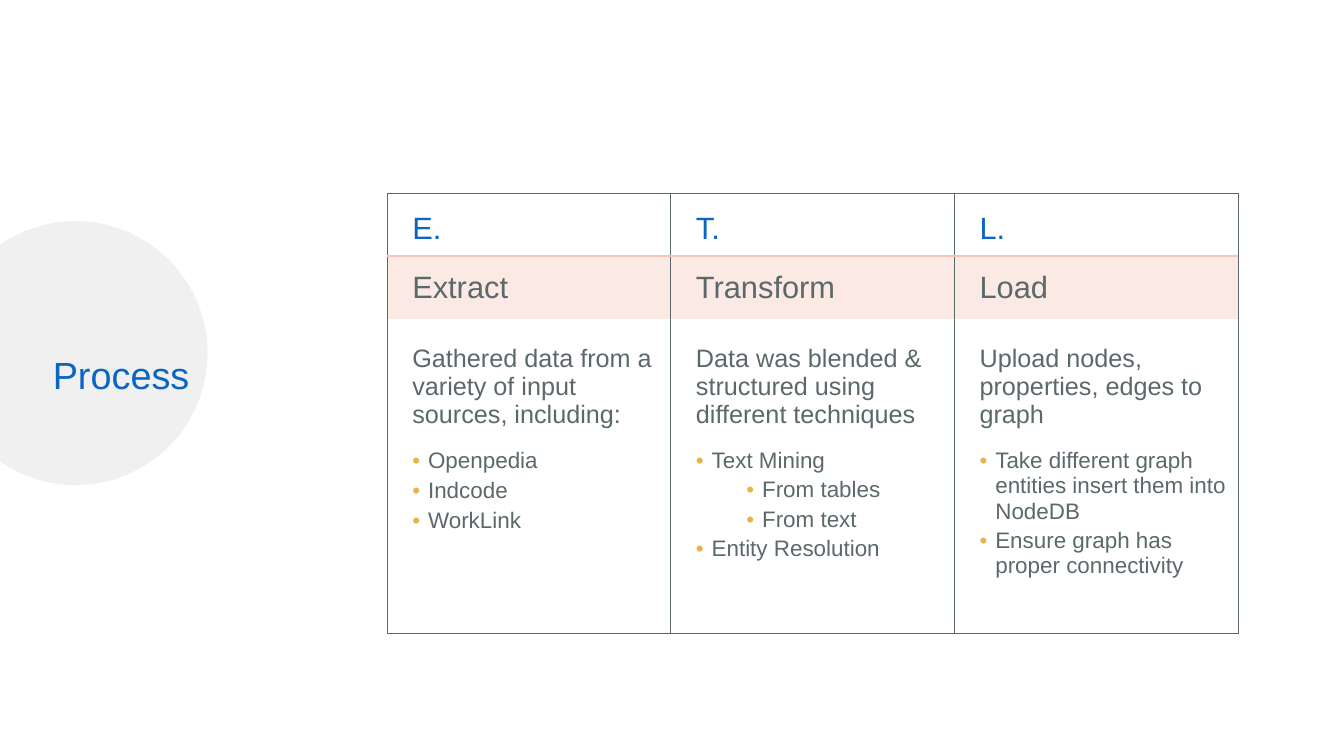
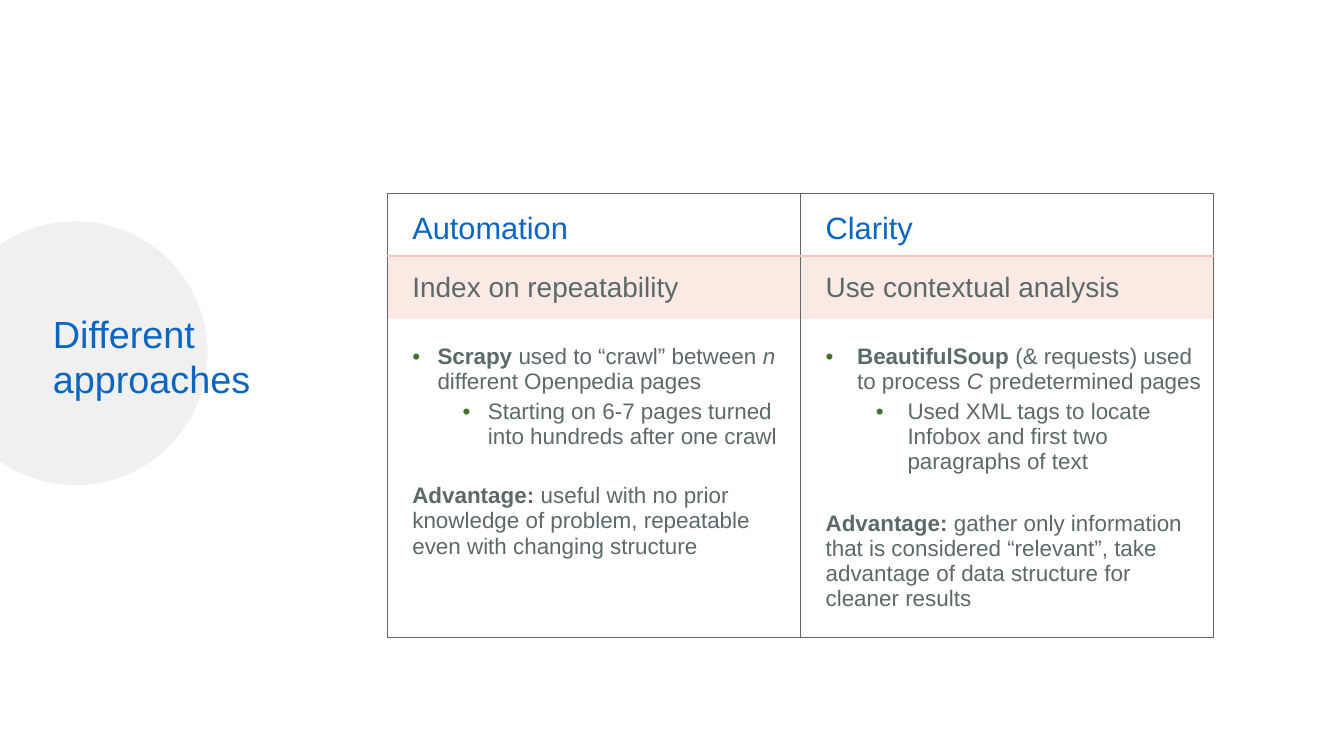
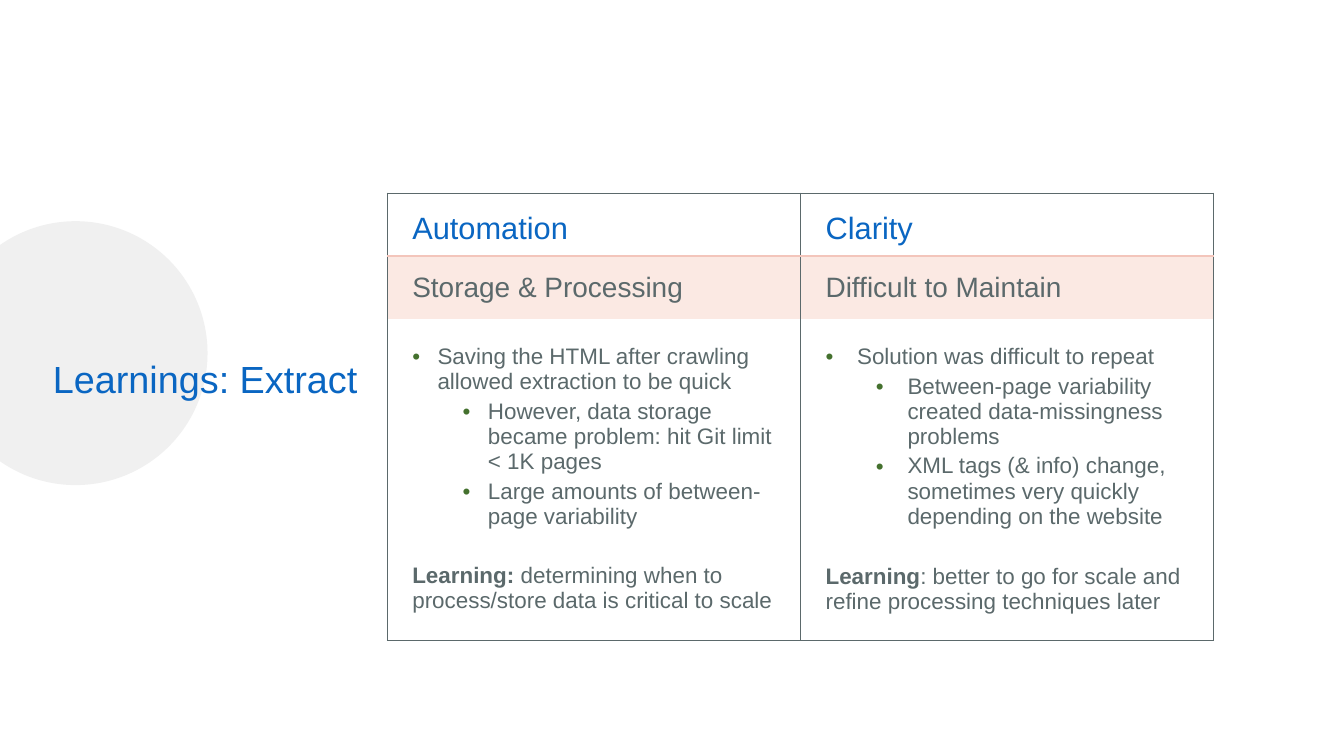
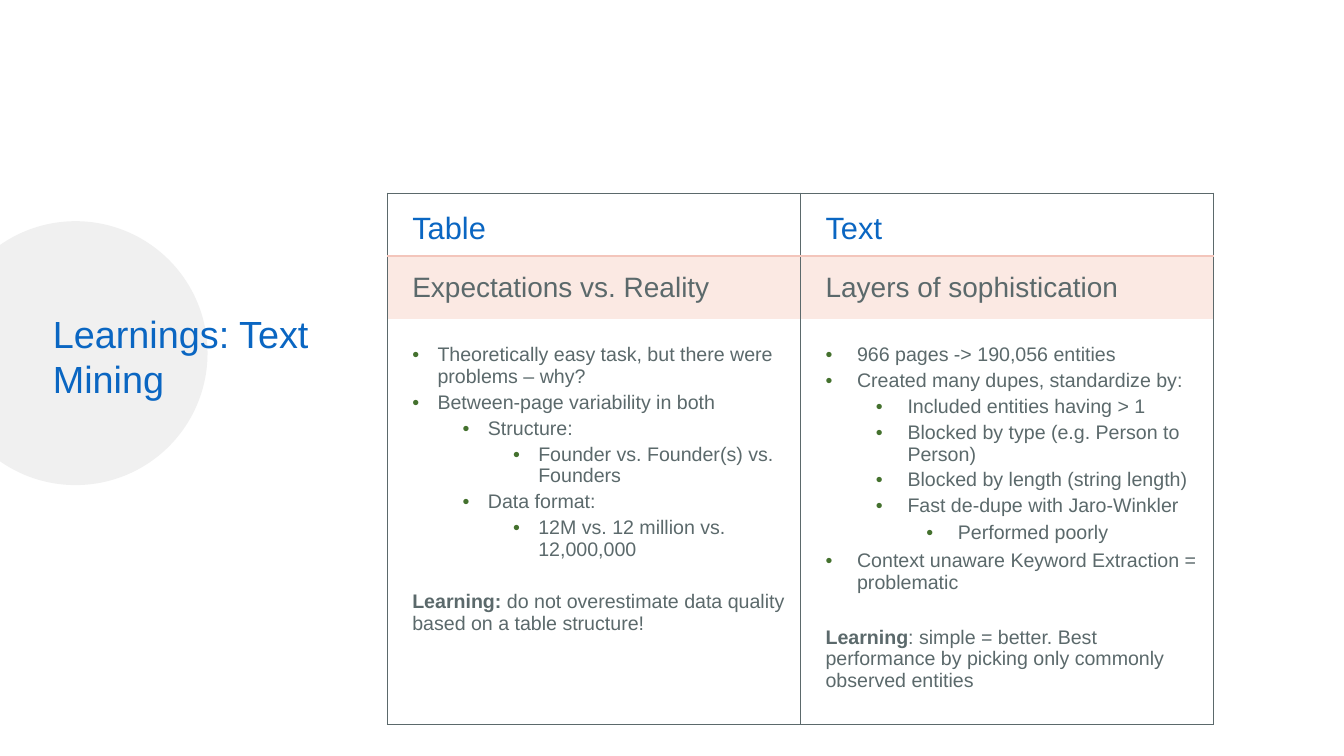
"""Builds four slides on extracting, transforming and loading graph data."""
from dataclasses import dataclass
from typing import Optional

from lxml.etree import SubElement
from pptx import Presentation
from pptx.dml.color import RGBColor
from pptx.enum.shapes import MSO_SHAPE
from pptx.enum.text import MSO_ANCHOR
from pptx.oxml.ns import qn
from pptx.util import Pt

FONT = "Arial"
COLORS = {
    "title": "0A66C2",
    "text": "5B696B",
    "circle": "F0F0F0",
    "band": "FBE9E3",
    "rule": "F3C5BB",
    "gold": "E9B348",
    "green": "44712E",
}
GRID = ("text", 1)
RULE = ("rule", 4.5)
HEADING_HEIGHT = 90
LEVEL_STEP = 72


@dataclass
class Line:
    """One paragraph of a body cell; level None means no bullet."""

    runs: tuple
    level: Optional[int] = None
    before: Optional[float] = None
    size: Optional[float] = None


@dataclass
class Column:
    """One table column with its heading, subheading and body lines."""

    heading: str
    subheading: str
    hang: float
    lines: list


def bullet(level, *runs, before=None):
    """Return a bulleted line."""
    return Line(runs, level, before)


def plain(*runs, before=None, size=None):
    """Return a line without a bullet."""
    return Line(runs, None, before, size)


class Deck:
    """Holds the shared style and the slide being filled."""

    def __init__(self):
        """Open an empty widescreen presentation."""
        self.presentation = Presentation()
        self.presentation.slide_width = Pt(1920)
        self.presentation.slide_height = Pt(1080)
        self.slide = None

    def color(self, name):
        """Return a named colour."""
        return RGBColor.from_string(COLORS[name])

    def new_slide(self, title, top=510.5, height=62.5):
        """Start a slide with the circle and its title."""
        self.slide = self.presentation.slides.add_slide(self.presentation.slide_layouts[6])
        circle = self.slide.shapes.add_shape(
            MSO_SHAPE.OVAL, Pt(-80.5), Pt(316), Pt(377), Pt(377))
        circle.shadow.inherit = False
        circle.fill.solid()
        circle.fill.fore_color.rgb = self.color("circle")
        circle.line.fill.background()
        box = self.slide.shapes.add_textbox(Pt(75.5), Pt(top), Pt(490), Pt(height))
        frame = box.text_frame
        frame.word_wrap = True
        frame.vertical_anchor = MSO_ANCHOR.BOTTOM
        frame.margin_left = frame.margin_top = frame.margin_right = frame.margin_bottom = 0
        paragraph = frame.paragraphs[0]
        paragraph.space_after = Pt(36)
        self.run(paragraph, title, 54, "title")

    def run(self, paragraph, content, size, color="text"):
        """Add a run; a pair gives the text and its emphasis."""
        text, emphasis = (content, "") if isinstance(content, str) else content
        run = paragraph.add_run()
        run.text = text
        run.font.name = FONT
        run.font.size = Pt(size)
        run.font.color.rgb = self.color(color)
        run.font.bold = emphasis == "b"
        run.font.italic = emphasis == "i"

    def mark(self, paragraph, level, hang, color):
        """Give a paragraph its bullet and hanging indent."""
        paragraph.level = level
        properties = paragraph._p.get_or_add_pPr()
        properties.set("marL", str(Pt(hang + level * LEVEL_STEP)))
        properties.set("indent", str(-Pt(hang)))
        tint = SubElement(properties, qn("a:buClr"))
        SubElement(tint, qn("a:srgbClr"), val=COLORS[color])
        SubElement(properties, qn("a:buFont"), typeface=FONT)
        SubElement(properties, qn("a:buChar"), char="•")

    def cell(self, cell, anchor, top, bottom, borders, fill=None):
        """Set a cell's anchor, margins, borders and fill."""
        cell.vertical_anchor = anchor
        cell.margin_left, cell.margin_right = Pt(36), Pt(14.4)
        cell.margin_top, cell.margin_bottom = Pt(top), Pt(bottom)
        properties = cell._tc.get_or_add_tcPr()
        for side in "LRTB":
            border = borders.get(side)
            edge = SubElement(properties, qn(f"a:ln{side}"))
            if border:
                name, width = border
                edge.set("w", str(Pt(width)))
                paint = SubElement(edge, qn("a:solidFill"))
                SubElement(paint, qn("a:srgbClr"), val=COLORS[name])
            else:
                SubElement(edge, qn("a:noFill"))
        if fill:
            cell.fill.solid()
            cell.fill.fore_color.rgb = self.color(fill)
        else:
            cell.fill.background()

    def body(self, frame, column, size, bullet_color):
        """Write the lines of a body cell."""
        for index, line in enumerate(column.lines):
            paragraph = frame.add_paragraph() if index else frame.paragraphs[0]
            if line.level is not None:
                self.mark(paragraph, line.level, column.hang, bullet_color)
            if index:
                paragraph.space_before = Pt(line.before or round(size * 0.2, 1))
            for content in line.runs:
                self.run(paragraph, content, line.size or size)

    def table(self, columns, column_width, body_height=449.5,
              subheading_size=40, body_size=32, bullet_color="green"):
        """Add the three-row table of headings, subheadings and bodies."""
        heights = (HEADING_HEIGHT, HEADING_HEIGHT, body_height)
        table = self.slide.shapes.add_table(
            3, len(columns), Pt(553), Pt(275.75),
            Pt(column_width * len(columns)), Pt(sum(heights))).table
        table.first_row = table.horz_banding = False
        for row, height in zip(table.rows, heights):
            row.height = Pt(height)
        sides = {"L": GRID, "R": GRID}
        for index, column in enumerate(columns):
            table.columns[index].width = Pt(column_width)
            heading, subheading, body = (table.cell(row, index) for row in range(3))
            self.cell(heading, MSO_ANCHOR.BOTTOM, 3.6, 14.4, {**sides, "T": GRID, "B": RULE})
            self.run(heading.text_frame.paragraphs[0], column.heading, 44, "title")
            self.cell(subheading, MSO_ANCHOR.MIDDLE, 14.4, 14.4, {**sides, "T": RULE}, "band")
            self.run(subheading.text_frame.paragraphs[0], column.subheading, subheading_size)
            self.cell(body, MSO_ANCHOR.TOP, 36, 14.4, {**sides, "B": GRID})
            self.body(body.text_frame, column, body_size, bullet_color)

    def comparison(self, title, columns, **options):
        """Add a slide that sets two columns side by side."""
        self.new_slide(title)
        self.table(columns, 590.4, **options)


def main():
    """Build the slides and save them."""
    deck = Deck()

    deck.new_slide("Process", top=448.5, height=119)
    deck.table([
        Column("E.", "Extract", 22.5, [
            plain("Gathered data from a variety of input sources, including:", size=36),
            bullet(0, "Openpedia", before=28),
            bullet(0, "Indcode"),
            bullet(0, "WorkLink"),
        ]),
        Column("T.", "Transform", 22.5, [
            plain("Data was blended & structured using different techniques", size=36),
            bullet(0, "Text Mining", before=27),
            bullet(1, "From tables"),
            bullet(1, "From text"),
            bullet(0, "Entity Resolution"),
        ]),
        Column("L.", "Load", 22.5, [
            plain("Upload nodes, properties, edges to graph", size=36),
            bullet(0, "Take different graph entities insert them into NodeDB", before=28),
            bullet(0, "Ensure graph has proper connectivity"),
        ]),
    ], 405.2, subheading_size=44, bullet_color="gold")

    deck.comparison("Different approaches", [
        Column("Automation", "Index on repeatability", 36, [
            bullet(0, ("Scrapy", "b"), " used to “crawl” between ", ("n ", "i"),
                   "different Openpedia pages"),
            bullet(1, "Starting on 6-7 pages turned into hundreds after one crawl"),
            plain(("Advantage: ", "b"), "useful with no prior knowledge of problem, "
                  "repeatable even with changing structure", before=49),
        ]),
        Column("Clarity", "Use contextual analysis", 45, [
            bullet(0, ("BeautifulSoup", "b"), " (& requests) used to process ", ("C", "i"),
                   " predetermined pages"),
            bullet(1, "Used XML tags to locate Infobox and first two paragraphs of text"),
            plain(("Advantage: ", "b"), "gather only information that is considered “relevant”, "
                  "take advantage of data structure for cleaner results", before=52),
        ]),
    ])

    deck.comparison("Learnings: Extract", [
        Column("Automation", "Storage & Processing", 36, [
            bullet(0, "Saving the HTML after crawling allowed extraction to be quick"),
            bullet(1, "However, data storage became problem: hit Git limit < 1K pages"),
            bullet(1, "Large amounts of between-page variability"),
            plain(("Learning:", "b"), " determining when to process/store data "
                  "is critical to scale", before=49),
        ]),
        Column("Clarity", "Difficult to Maintain", 45, [
            bullet(0, "Solution was difficult to repeat"),
            bullet(1, "Between-page variability created data-missingness problems"),
            bullet(1, "XML tags (& info) change, sometimes very quickly "
                      "depending on the website"),
            plain(("Learning", "b"), ": better to go for scale and refine processing "
                  "techniques later", before=50.5),
        ]),
    ])

    deck.comparison("Learnings: Text Mining", [
        Column("Table", "Expectations vs. Reality", 36, [
            bullet(0, "Theoretically easy task, but there were problems – why?"),
            bullet(0, "Between-page variability in both"),
            bullet(1, "Structure:"),
            bullet(2, "Founder vs. Founder(s) vs. Founders"),
            bullet(1, "Data format:"),
            bullet(2, "12M vs. 12 million vs. 12,000,000"),
            plain(("Learning:", "b"), " do not overestimate data quality "
                  "based on a table structure!", before=43),
        ]),
        Column("Text", "Layers of sophistication", 45, [
            bullet(0, "966 pages -> 190,056 entities"),
            bullet(0, "Created many dupes, standardize by:"),
            bullet(1, "Included entities having > 1"),
            bullet(1, "Blocked by type (e.g. Person to Person)"),
            bullet(1, "Blocked by length (string length)"),
            bullet(1, "Fast de-dupe with Jaro-Winkler"),
            bullet(2, "Performed poorly", before=7.7),
            bullet(0, "Context unaware Keyword Extraction = problematic", before=7.7),
            plain(("Learning", "b"), ": simple = better. Best performance by picking only "
                  "commonly observed entities", before=47.5),
        ]),
    ], body_height=552, body_size=28)

    deck.presentation.save("out.pptx")


if __name__ == "__main__":
    main()
